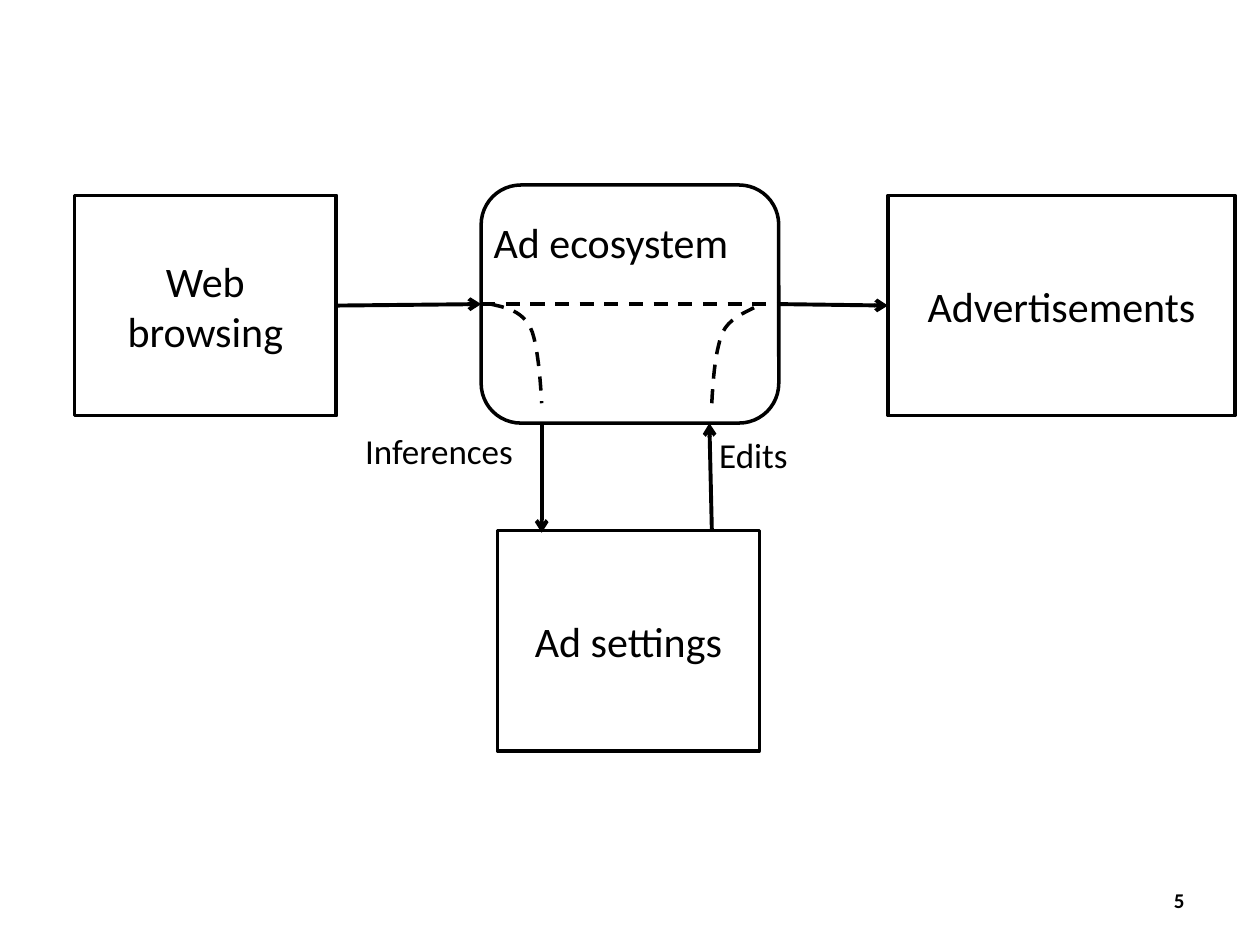
from dataclasses import dataclass

from lxml import etree
from pptx import Presentation
from pptx.dml.color import RGBColor
from pptx.enum.dml import MSO_LINE_DASH_STYLE
from pptx.enum.shapes import MSO_CONNECTOR_TYPE, MSO_SHAPE
from pptx.enum.text import MSO_ANCHOR, MSO_AUTO_SIZE, PP_ALIGN
from pptx.oxml.ns import qn
from pptx.util import Cm, Pt

RECTANGLE = MSO_SHAPE.RECTANGLE
ROUNDED = MSO_SHAPE.ROUNDED_RECTANGLE
STRAIGHT = MSO_CONNECTOR_TYPE.STRAIGHT
DASH = MSO_LINE_DASH_STYLE.DASH
MIDDLE = MSO_ANCHOR.MIDDLE
FIT_SHAPE = MSO_AUTO_SIZE.SHAPE_TO_FIT_TEXT
LEFT, CENTER, RIGHT = PP_ALIGN.LEFT, PP_ALIGN.CENTER, PP_ALIGN.RIGHT
SIDE_LEFT, SIDE_RIGHT = 1, 3
BLANK_LAYOUT = 6


@dataclass(frozen=True)
class Theme:
    font: str = "Calibri"
    ink: RGBColor = RGBColor(0x00, 0x00, 0x00)
    paper: RGBColor = RGBColor(0xFF, 0xFF, 0xFF)
    box_size: int = 24
    label_size: int = 20
    number_size: int = 12
    outline: float = 2
    arrow: float = 2.25


def bezier(start, first, second, end, steps=12):
    for step in range(1, steps + 1):
        t = step / steps
        u = 1 - t
        yield tuple(
            Cm(u**3 * a + 3 * u * u * t * b + 3 * u * t * t * c + t**3 * d)
            for a, b, c, d in zip(start, first, second, end)
        )


class Diagram:
    def __init__(self, slide, theme):
        self.slide = slide
        self.theme = theme

    def set_text(self, frame, text, size, align, bold=False):
        paragraph = frame.paragraphs[0]
        paragraph.text = text
        paragraph.alignment = align
        font = paragraph.font
        font.name = self.theme.font
        font.size = Pt(size)
        font.bold = bold
        font.color.rgb = self.theme.ink

    def stroke(self, line, width, dashed=False):
        line.color.rgb = self.theme.ink
        line.width = Pt(width)
        if dashed:
            line.dash_style = DASH

    def box(self, left, top, width, height, text="", kind=RECTANGLE):
        box = self.slide.shapes.add_shape(
            kind, Cm(left), Cm(top), Cm(width), Cm(height)
        )
        box.shadow.inherit = False
        box.fill.solid()
        box.fill.fore_color.rgb = self.theme.paper
        self.stroke(box.line, self.theme.outline)
        if text:
            self.set_text(box.text_frame, text, self.theme.box_size, CENTER)
        return box

    def label(self, left, top, width, height, text, size):
        label = self.slide.shapes.add_textbox(Cm(left), Cm(top), Cm(width), Cm(height))
        label.text_frame.word_wrap = False
        label.text_frame.auto_size = FIT_SHAPE
        self.set_text(label.text_frame, text, size, LEFT)

    def page_number(self, left, top, width, height, text):
        number = self.slide.shapes.add_textbox(Cm(left), Cm(top), Cm(width), Cm(height))
        number.text_frame.word_wrap = True
        number.text_frame.vertical_anchor = MIDDLE
        self.set_text(number.text_frame, text, self.theme.number_size, RIGHT, bold=True)

    def line(self, start, end, width, dashed=False, arrow=False):
        line = self.slide.shapes.add_connector(
            STRAIGHT, *(Cm(value) for value in (*start, *end))
        )
        self.stroke(line.line, width, dashed)
        properties = line._element.spPr
        if arrow:
            etree.SubElement(properties.find(qn("a:ln")), qn("a:tailEnd"), type="arrow")
        etree.SubElement(properties, qn("a:effectLst"))
        return line

    def arrow(self, start, end):
        return self.line(start, end, self.theme.arrow, arrow=True)

    def link(self, source, target):
        arrow = self.arrow((0, 0), (1, 1))
        arrow.begin_connect(source, SIDE_RIGHT)
        arrow.end_connect(target, SIDE_LEFT)

    def crossing(self, box):
        route = self.line((0, 0), (1, 1), self.theme.outline, dashed=True)
        route.begin_connect(box, SIDE_LEFT)
        route.end_connect(box, SIDE_RIGHT)

    def dashed_curve(self, start, *segments):
        builder = self.slide.shapes.build_freeform(*(Cm(value) for value in start))
        for segment in segments:
            builder.add_line_segments(bezier(start, *segment), close=False)
            start = segment[-1]
        curve = builder.convert_to_shape()
        curve.shadow.inherit = False
        curve.fill.background()
        self.stroke(curve.line, self.theme.outline, dashed=True)


def main():
    presentation = Presentation()
    presentation.slide_width = Cm(25.4)
    presentation.slide_height = Cm(19.05)
    slide = presentation.slides.add_slide(presentation.slide_layouts[BLANK_LAYOUT])
    theme = Theme()
    diagram = Diagram(slide, theme)

    diagram.page_number(18.2, 17.65, 5.93, 1.01, "5")
    ecosystem = diagram.box(9.7, 3.73, 6, 4.8, kind=ROUNDED)
    browsing = diagram.box(1.5, 3.94, 5.28, 4.44, "Web browsing")
    advertisements = diagram.box(17.9, 3.94, 7, 4.44, "Advertisements")
    diagram.box(10.03, 10.7, 5.28, 4.44, "Ad settings")

    diagram.link(browsing, ecosystem)
    diagram.link(ecosystem, advertisements)
    diagram.arrow((10.92, 8.53), (10.92, 10.74))
    diagram.arrow((14.35, 10.7), (14.3, 8.53))

    diagram.crossing(ecosystem)
    diagram.dashed_curve(
        (9.88, 6.13),
        ((10.21, 6.2), (10.52, 6.27), (10.69, 6.6)),
        ((10.87, 6.93), (10.92, 8.13), (10.92, 8.13)),
    )
    diagram.dashed_curve(
        (14.35, 8.13),
        ((14.38, 7.57), (14.43, 7.01), (14.58, 6.68)),
        ((14.76, 6.35), (15.14, 6.27), (15.32, 6.13)),
    )

    diagram.label(7.11, 8.53, 3.94, 1.11, "Inferences", theme.label_size)
    diagram.label(14.25, 8.61, 2.18, 1.11, "Edits", theme.label_size)
    diagram.label(9.7, 4.24, 6.12, 1.28, "Ad ecosystem", theme.box_size)

    presentation.save("out.pptx")


if __name__ == "__main__":
    main()
